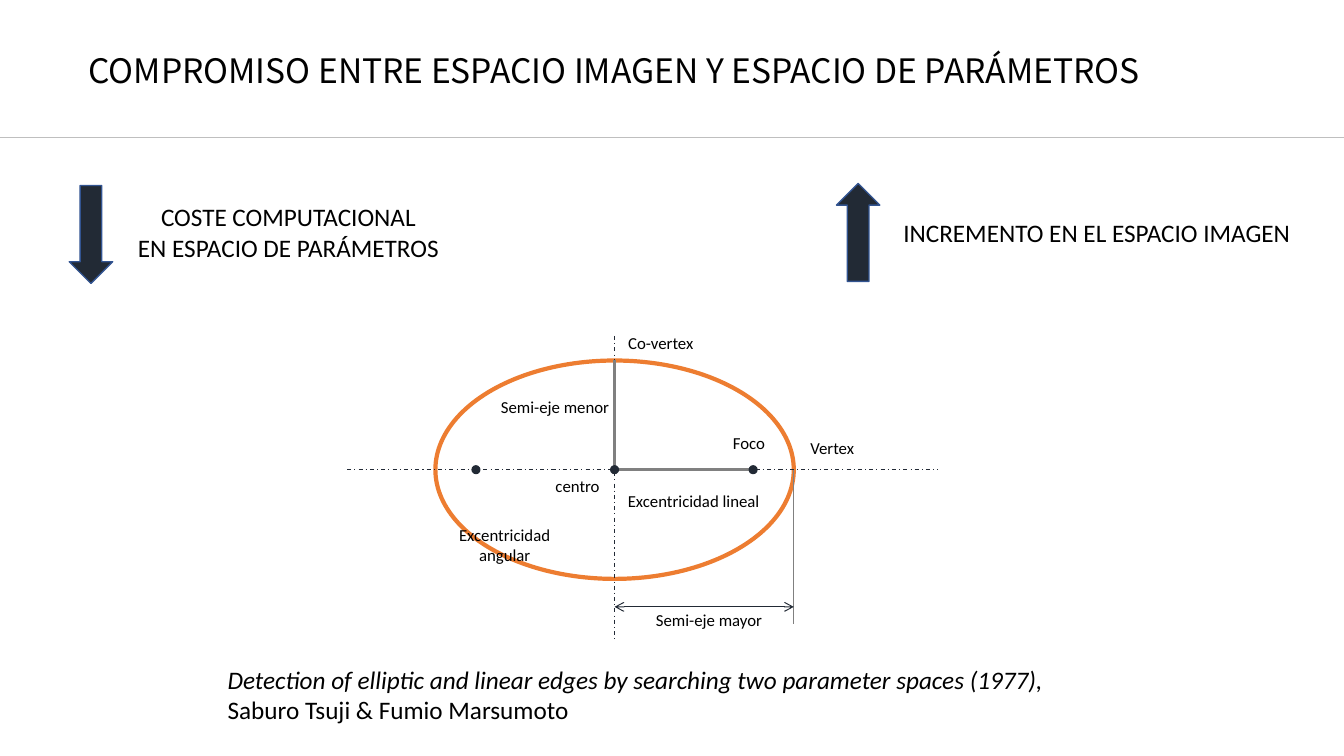
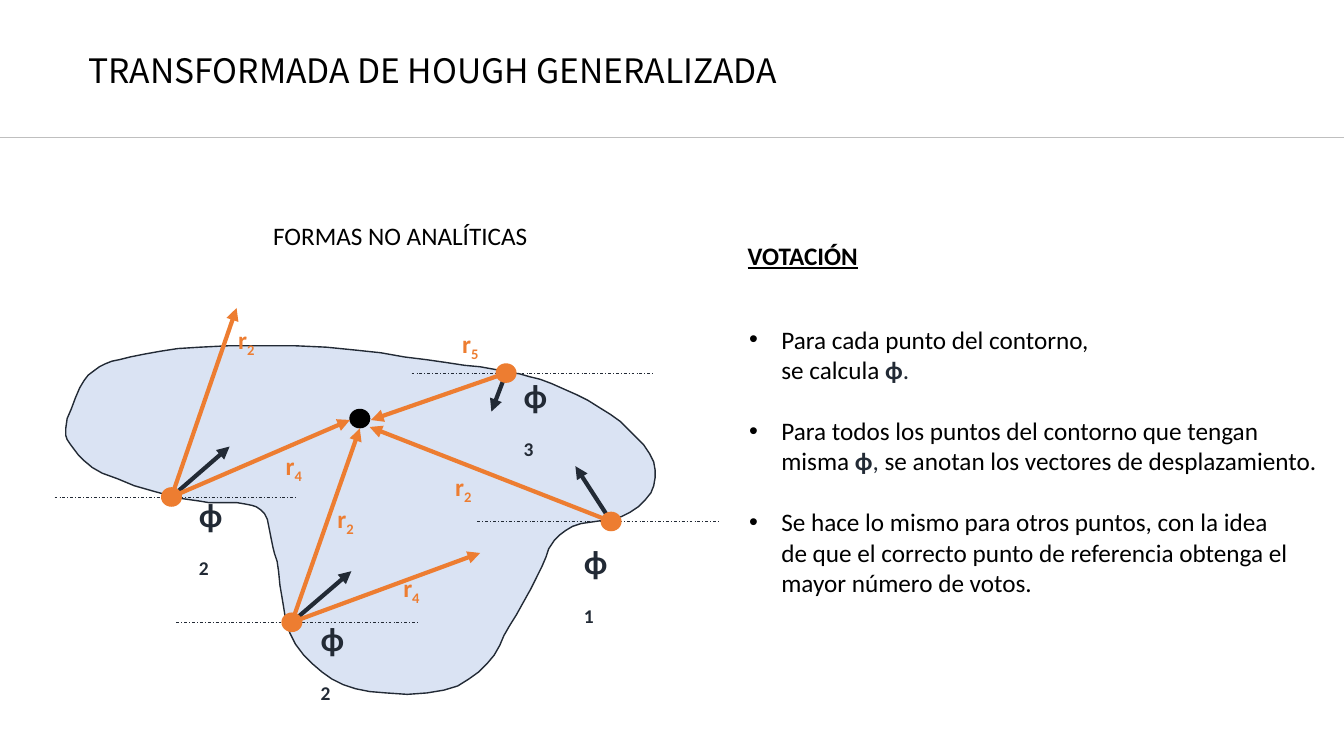
from dataclasses import dataclass

from lxml import etree
from pptx import Presentation
from pptx.dml.color import RGBColor
from pptx.enum.dml import MSO_LINE
from pptx.enum.shapes import MSO_CONNECTOR, MSO_SHAPE
from pptx.enum.text import MSO_ANCHOR, MSO_AUTO_SIZE, PP_ALIGN
from pptx.oxml.ns import qn
from pptx.util import Pt


@dataclass(frozen=True)
class Theme:
    title_font: str = "Noto Sans CJK SC"
    font: str = "Calibri"
    black: str = "000000"
    dark: str = "222A35"
    orange: str = "ED7D31"
    gray: str = "808080"
    rule: str = "BFBFBF"
    arrow_edge: str = "325491"
    region: str = "DAE3F3"
    title: int = 24
    body: int = 18
    label: int = 12
    angle: int = 24


T = Theme()
WIDTH, HEIGHT = 960, 540

# Slide 1 content
TITLE_1 = "COMPROMISO ENTRE ESPACIO IMAGEN Y ESPACIO DE PARÁMETROS"
# arrow kind, arrow left and top, text, text box
TRADE_OFFS = [
    (MSO_SHAPE.DOWN_ARROW, 49.5, 132.5,
     "COSTE COMPUTACIONAL\nEN ESPACIO DE PARÁMETROS", (90.5, 140.5, 231, 51)),
    (MSO_SHAPE.UP_ARROW, 597.5, 131,
     "INCREMENTO EN EL ESPACIO IMAGEN", (636.5, 152, 294, 29)),
]
CITATION = ("Detection of elliptic and linear edges by searching two parameter "
            "spaces (1977),\nSaburo Tsuji & Fumio Marsumoto")
# text, middle, top
ELLIPSE_LABELS = [
    ("Excentricidad lineal", 495.5, 347), ("Foco", 535, 305.5),
    ("Vertex", 594.5, 309), ("Co-vertex", 472, 234),
    ("Semi-eje mayor", 506.5, 432), ("Semi-eje menor", 396.5, 280),
    ("centro", 412.5, 336), ("Excentricidad\nangular", 360.5, 371),
]

# Slide 2 content
TITLE_2 = "TRANSFORMADA DE HOUGH GENERALIZADA"
# bullets hold lines, lines hold (text, style) runs
BULLETS = [
    [[("Para cada punto del contorno,", "plain")],
     [("se calcula ", "plain"), ("ϕ", "angle"), (".", "dark")]],
    [[("Para todos los puntos del contorno que tengan", "plain")],
     [("misma ", "plain"), ("ϕ", "angle"), (",", "dark"),
      (" se anotan los vectores de desplazamiento.", "plain")]],
    [[("Se hace lo mismo para otros puntos, con la idea", "plain")],
     [("de que el correcto punto de referencia obtenga el", "plain")],
     [("mayor número de votos.", "plain")]],
]
RUN_STYLES = {"plain": (T.black, False), "dark": (T.dark, False),
              "angle": (T.dark, True)}
# the curve runs smoothly through these points
OUTLINE = [
    (143, 248), (93, 255), (71, 262), (57, 277), (47, 306), (53, 321),
    (73, 338), (121, 354), (149, 359), (175, 360), (189, 367), (194, 386),
    (199, 408), (207, 452), (230, 480), (264, 494), (317, 493), (348, 474),
    (364, 447), (383, 413), (396, 386), (415, 374), (444, 369), (465, 352),
    (467, 330), (449, 307), (420, 286), (386, 271), (354, 264), (305, 257),
    (233, 248),
]
REFERENCE = (257, 299)
GUIDE_LENGTH = 172
# center, guide left, normal tip, angle (index, corner),
# vectors (index, tip, label corner)
CONTOUR_POINTS = [
    ((122.5, 355), 39, (164, 319), ("2", (135, 349)),
     [("4", (250, 300), (197, 318)), ("2", (169, 220), (163, 228))]),
    ((208.5, 444.5), 126, (251, 408), ("2", (222, 438)),
     [("2", (257, 306), (234, 356)), ("4", (343, 395), (281, 405))]),
    ((436.5, 372.5), 341, (411, 333), ("1", (410, 383)),
     [("2", (264, 305), (318, 333))]),
    ((361.5, 266.5), 294, (351, 294), ("3", (367, 264)),
     [("5", (265, 300), (323, 231))]),
]


def rgb(color):
    return RGBColor.from_string(color)


def style_run(r, size, color, bold=False, font=T.font):
    r.font.name, r.font.size, r.font.bold = font, Pt(size), bold
    r.font.color.rgb = rgb(color)


def add_text(s, box, text, size, color=T.black, bold=False, align=PP_ALIGN.LEFT):
    tf = s.shapes.add_textbox(*map(Pt, box)).text_frame
    tf.word_wrap = False
    tf.text = text
    for p in tf.paragraphs:
        p.alignment = align
        for r in p.runs:
            style_run(r, size, color, bold)
    return tf


def add_symbol(s, box, symbol, index, size, color):
    """A bold symbol with a subscript."""
    tf = add_text(s, box, symbol, size, color, True)
    r = tf.paragraphs[0].add_run()
    r.text = index
    style_run(r, size, color, True)
    r._r.get_or_add_rPr().set("baseline", "-25000")
    return tf


def add_line(s, start, end, color, width, dash=None, head=None, tail=None):
    line = s.shapes.add_connector(MSO_CONNECTOR.STRAIGHT, *map(Pt, (*start, *end)))
    line.line.color.rgb = rgb(color)
    line.line.width = Pt(width)
    if dash:
        line.line.dash_style = dash
    ln = line.line._get_or_add_ln()
    for tag, kind in (("a:headEnd", head), ("a:tailEnd", tail)):
        if kind:
            etree.SubElement(ln, qn(tag)).set("type", kind)
    etree.SubElement(line._element.spPr, qn("a:effectLst"))


def paint(sp, fill=None, edge=None, width=1):
    sp.shadow.inherit = False
    if fill:
        sp.fill.solid()
        sp.fill.fore_color.rgb = rgb(fill)
    else:
        sp.fill.background()
    if edge:
        sp.line.color.rgb = rgb(edge)
        sp.line.width = Pt(width)
    else:
        sp.line.fill.background()


def add_ellipse(s, center, w, h, **look):
    x, y = center
    box = map(Pt, (x - w / 2, y - h / 2, w, h))
    paint(s.shapes.add_shape(MSO_SHAPE.OVAL, *box), **look)


def add_slide(prs, title):
    """Title and the rule beneath it."""
    s = prs.slides.add_slide(prs.slide_layouts[5])
    sp = s.shapes.title
    sp.left, sp.top, sp.width, sp.height = map(Pt, (56, 0, 828, 104))
    tf = sp.text_frame
    tf.text = title
    tf.auto_size = MSO_AUTO_SIZE.NONE
    tf.vertical_anchor = MSO_ANCHOR.MIDDLE
    p = tf.paragraphs[0]
    p.alignment, p.line_spacing = PP_ALIGN.LEFT, 0.9
    style_run(p.runs[0], T.title, T.black, font=T.title_font)
    add_line(s, (0, 98), (WIDTH, 98), T.rule, 0.5)
    return s


def draw_ellipse_diagram(s):
    cx, cy, a, b, focus = 439, 335.5, 128, 78, 99
    right, measure_y = cx + a, 433.5
    center = (cx, cy)
    add_ellipse(s, center, 2 * a, 2 * b, edge=T.orange, width=3)

    # Axes, semi-axes and measure
    for start, end in (((248, cy), (670, cy)), ((cx, 240), (cx, 456))):
        add_line(s, start, end, T.dark, 0.75, MSO_LINE.DASH_DOT)
    for end in ((cx, cy - b), (cx + focus, cy)):
        add_line(s, center, end, T.gray, 2.25)
    add_line(s, (right, cy), (right, 446), T.gray, 0.75)
    add_line(s, (right, measure_y), (cx, measure_y), T.dark, 0.75,
             head="arrow", tail="arrow")

    # Foci and center
    for x in (cx - focus, cx, cx + focus):
        add_ellipse(s, (x, cy), 5.5, 5.5, fill=T.dark, edge=T.dark)

    w = 110
    for text, middle, y in ELLIPSE_LABELS:
        h = 22 if "\n" not in text else 36
        add_text(s, (middle - w / 2, y, w, h), text, T.label, align=PP_ALIGN.CENTER)


def add_bullets(s, box):
    tf = s.shapes.add_textbox(*map(Pt, box)).text_frame
    tf.word_wrap = True
    for i, lines in enumerate(BULLETS):
        p = tf.add_paragraph() if i else tf.paragraphs[0]
        p.space_before = Pt(22 if i else 0)
        pPr = p._p.get_or_add_pPr()
        pPr.set("marL", str(Pt(23)))
        pPr.set("indent", str(-Pt(23)))
        etree.SubElement(pPr, qn("a:buFont")).set("typeface", "Arial")
        etree.SubElement(pPr, qn("a:buChar")).set("char", "•")
        for j, line in enumerate(lines):
            if j:
                p.add_line_break()
            for text, style in line:
                r = p.add_run()
                r.text = text
                style_run(r, T.body, *RUN_STYLES[style])


def smooth(points, steps=4):
    """Closed Catmull-Rom curve through the points."""
    curve = []
    for i, p1 in enumerate(points):
        p0, p2, p3 = (points[(i + k) % len(points)] for k in (-1, 1, 2))
        for t in (step / steps for step in range(steps)):
            curve.append(tuple(
                b + t / 2 * (c - a + t * (2 * a - 5 * b + 4 * c - d
                                          + t * (3 * (b - c) + d - a)))
                for a, b, c, d in zip(p0, p1, p2, p3)))
    return curve


def draw_contour(s):
    curve = smooth(OUTLINE)
    builder = s.shapes.build_freeform(*curve[0], scale=Pt(1))
    builder.add_line_segments(curve[1:], close=True)
    paint(builder.convert_to_shape(), T.region, T.dark)
    add_ellipse(s, REFERENCE, 15, 14, fill=T.black)

    for center, left, normal, (angle, corner), vectors in CONTOUR_POINTS:
        y = center[1]
        add_line(s, (left, y), (left + GUIDE_LENGTH, y), T.dark, 0.5,
                 MSO_LINE.DASH_DOT)
        add_line(s, center, normal, T.dark, 3, tail="triangle")
        for index, tip, label in vectors:
            add_line(s, center, tip, T.orange, 3, tail="triangle")
            add_symbol(s, (*label, 27.5, 29), "r", index, T.body, T.orange)
        add_ellipse(s, center, 15, 14, fill=T.orange)
        tf = add_symbol(s, (*corner, 35, 36), "ϕ", angle, T.angle, T.dark)
        tf.word_wrap = True


def main():
    prs = Presentation()
    prs.slide_width, prs.slide_height = Pt(WIDTH), Pt(HEIGHT)

    # Slide 1
    s = add_slide(prs, TITLE_1)
    for kind, x, y, text, box in TRADE_OFFS:
        paint(s.shapes.add_shape(kind, Pt(x), Pt(y), Pt(31), Pt(70)),
              T.dark, T.arrow_edge)
        add_text(s, box, text, T.body, align=PP_ALIGN.CENTER)
    draw_ellipse_diagram(s)
    tf = add_text(s, (155.5, 471, 608, 51), CITATION, T.body)
    tf.paragraphs[0].runs[0].font.italic = True

    # Slide 2
    s = add_slide(prs, TITLE_2)
    add_text(s, (188, 154, 198, 29), "FORMAS NO ANALÍTICAS", T.body)
    draw_contour(s)
    tf = add_text(s, (527, 168, 93.5, 29), "VOTACIÓN", T.body, bold=True)
    tf.paragraphs[0].runs[0].font.underline = True
    add_bullets(s, (528, 228, 430, 204))

    prs.save("out.pptx")


if __name__ == "__main__":
    main()
